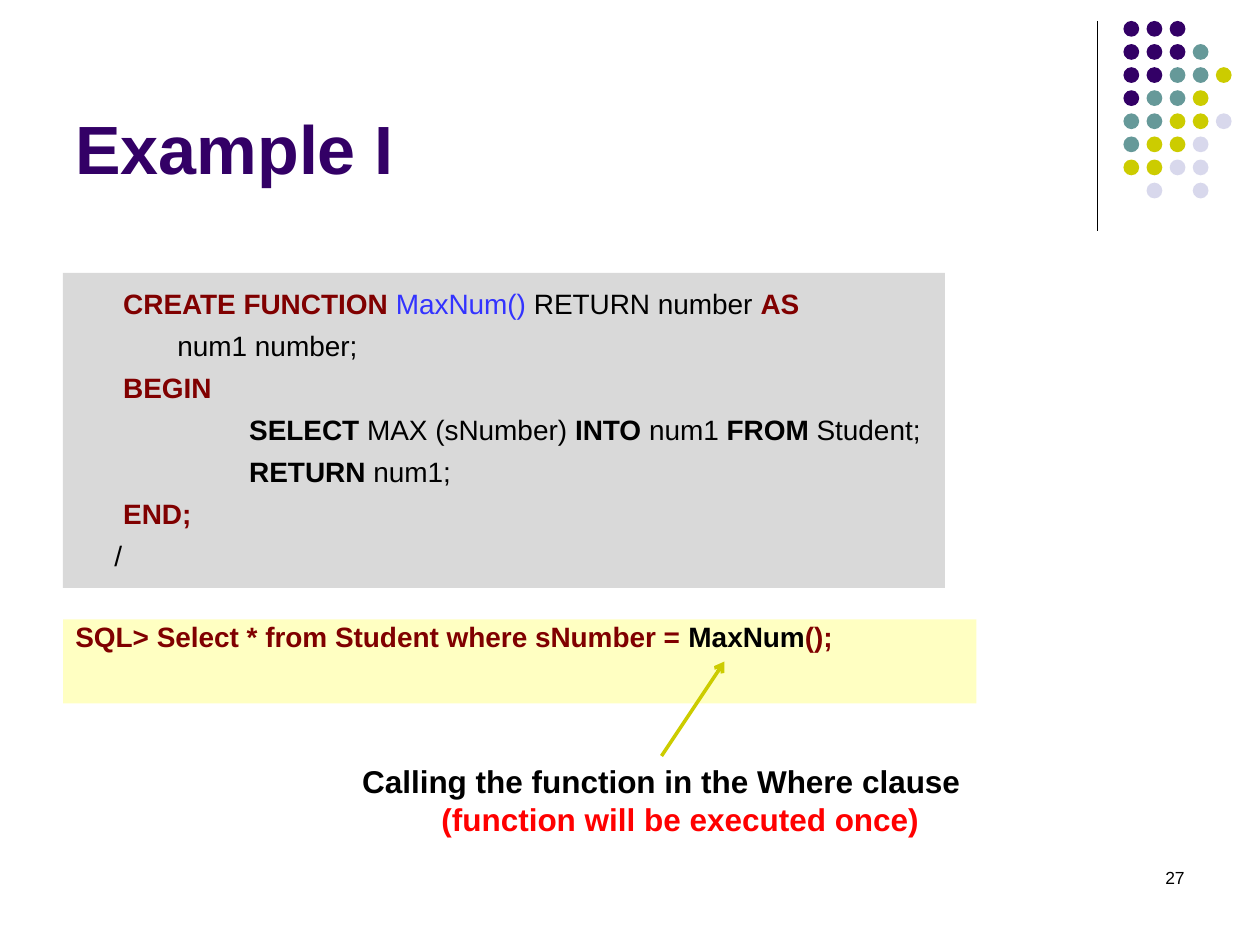
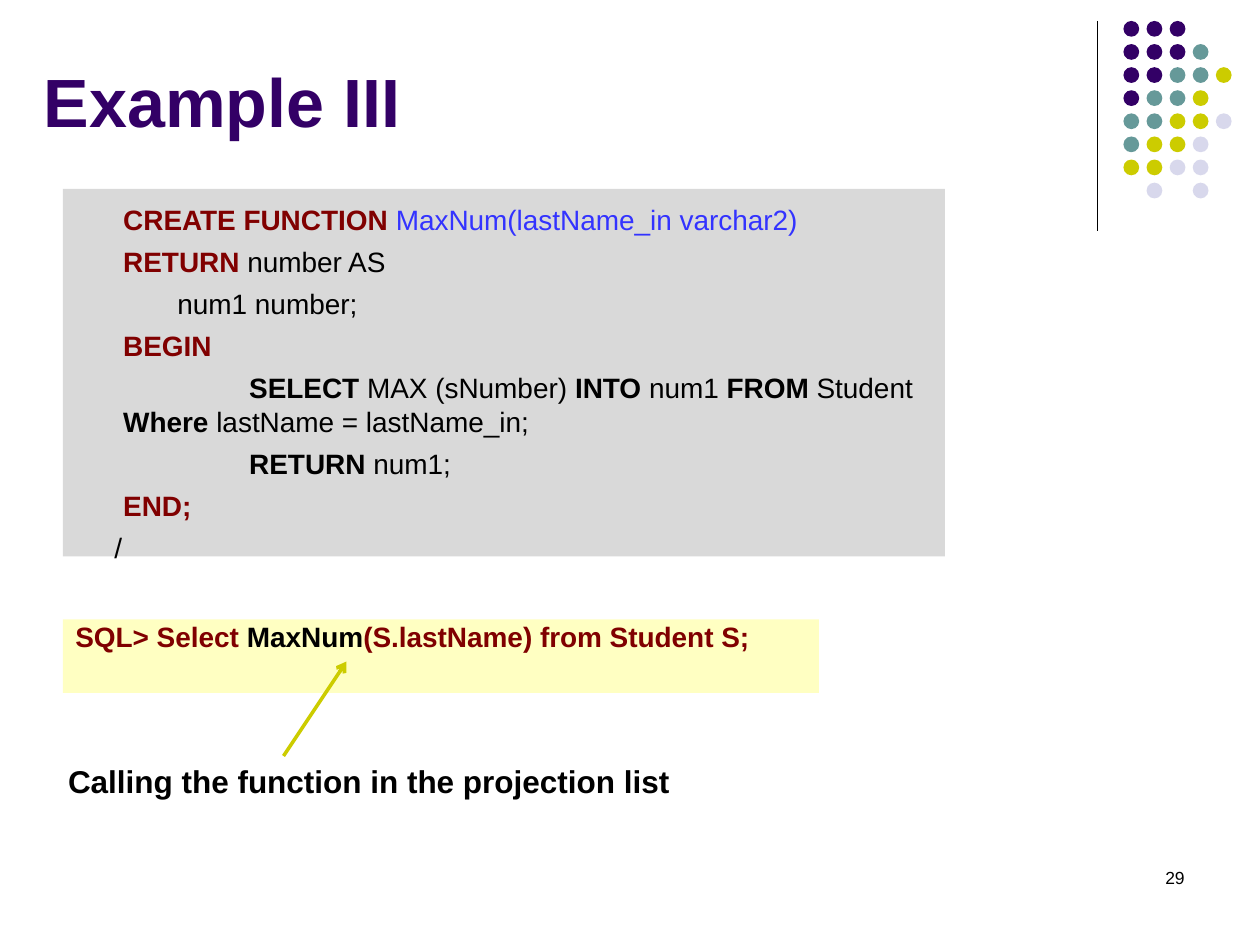
from lxml.etree import SubElement
from pptx import Presentation
from pptx.dml.color import RGBColor
from pptx.enum.shapes import MSO_CONNECTOR, MSO_SHAPE
from pptx.enum.text import MSO_ANCHOR, PP_ALIGN
from pptx.oxml.ns import qn
from pptx.util import Inches, Pt

COLORS = {
    "purple": "330066", "teal": "669999", "olive": "CCCC00", "lilac": "D8D8EC",
    "black": "000000", "maroon": "800000", "blue": "3333FF", "red": "FF0000",
    "code": "D9D9D9", "query": "FFFFC2",
}
# Each style is (size, bold, colour)
STYLES = {
    "title": (39, True, "purple"),
    "plain": (16, False, "black"),
    "strong": (16, True, "black"),
    "keyword": (16, True, "maroon"),
    "name": (16, False, "blue"),
    "note": (18, True, "black"),
    "warning": (18, True, "red"),
    "number": (10, False, "black"),
}
DOT_COLORS = {"P": "purple", "T": "teal", "O": "olive", "L": "lilac"}
DOT_ROWS = ["PPP", "PPPT", "PPTTO", "PTTO", "TTOOL", "TOOL", "OOLL", ".L.L"]
DOT_PITCH, DOT_SIZE = 2.2, 1.5

# Code indents in inches, measured from the code margin
CODE_MARGIN = 0.38
SLASH, FLUSH, DECLARE, BODY = -0.07, 0, 0.43, 1
BEGIN = (BODY * 0, [("BEGIN", "keyword")])
SELECT_MAX = [("SELECT", "strong"), (" MAX (sNumber) ", "plain"), ("INTO", "strong"),
              (" num1 ", "plain"), ("FROM", "strong")]
DECLARATION = (DECLARE, [("num1 number;", "plain")])
CODE_END = [
    (BODY, [("RETURN", "strong"), (" num1;", "plain")]),
    (FLUSH, [("END;", "keyword")]),
    (SLASH, [("/", "plain")]),
]


def grid(*cells):
    """Turn cells of the 120 x 90 slide grid into lengths."""
    return [Inches(c / 12) for c in cells]


def rgb(name):
    return RGBColor.from_string(COLORS[name])


def add_filled(shapes, kind, box, color):
    sp = shapes.add_shape(kind, *grid(*box))
    sp.shadow.inherit = False
    sp.fill.solid()
    sp.fill.fore_color.rgb = rgb(color)
    sp.line.fill.background()
    return sp


def add_line(s, start, end, color, width, arrow=False):
    line = s.shapes.add_connector(MSO_CONNECTOR.STRAIGHT, *grid(*start, *end))
    line.line.color.rgb = rgb(color)
    line.line.width = Pt(width)
    if arrow:
        SubElement(line.line._get_or_add_ln(), qn("a:tailEnd"), type="arrow")
    SubElement(line._element.spPr, qn("a:effectLst"))


def write(tf, paragraphs, margin=0, **formats):
    """Fill a frame with (first-line indent, runs) paragraphs."""
    for i, (indent, runs) in enumerate(paragraphs):
        p = tf.paragraphs[0] if i == 0 else tf.add_paragraph()
        pPr = p._p.get_or_add_pPr()
        pPr.set("marL", str(Inches(margin)))
        pPr.set("indent", str(Inches(indent)))
        for key, value in {"alignment": PP_ALIGN.LEFT, **formats}.items():
            if i or key != "space_before":
                setattr(p, key, value)
        for text, style in runs:
            size, bold, color = STYLES[style]
            r = p.add_run()
            r.text = text
            for key, value in {"name": "Arial", "size": Pt(size), "bold": bold}.items():
                setattr(r.font, key, value)
            r.font.color.rgb = rgb(color)


def add_text(s, box, paragraphs, anchor=MSO_ANCHOR.TOP, wrap=True, **formats):
    tf = s.shapes.add_textbox(*grid(*box)).text_frame
    tf.word_wrap = wrap
    tf.vertical_anchor = anchor
    write(tf, paragraphs, **formats)


def add_panel(s, box, color, paragraphs, top_inset=0.05, **formats):
    tf = add_filled(s.shapes, MSO_SHAPE.RECTANGLE, box, color).text_frame
    tf.word_wrap = True
    tf.vertical_anchor = MSO_ANCHOR.TOP
    tf.margin_top = Inches(top_inset)
    write(tf, paragraphs, **formats)


def add_code(s, box, lines):
    add_panel(s, box, "code", lines, top_inset=0.11, margin=CODE_MARGIN,
              space_before=Pt(4.8))


def add_query(s, width, height, runs):
    add_panel(s, (6, 59, width, height), "query", [(0, runs)], line_spacing=0.8)


def add_call_arrow(s, column):
    add_line(s, (column, 72), (column + 6, 63), "olive", 2, arrow=True)


def add_dots(s):
    group = s.shapes.add_group_shape()
    for row, pattern in enumerate(DOT_ROWS):
        for col, key in enumerate(pattern):
            if key in DOT_COLORS:
                box = (107 + col * DOT_PITCH, 2 + row * DOT_PITCH, DOT_SIZE, DOT_SIZE)
                add_filled(group.shapes, MSO_SHAPE.OVAL, box, DOT_COLORS[key])


def add_example(prs, title, title_box, number):
    """Add a slide with the shared rule, dots, title and slide number."""
    s = prs.slides.add_slide(prs.slide_layouts[6])
    add_line(s, (104.5, 2), (104.5, 22), "black", 0.75)
    add_dots(s)
    add_text(s, title_box, [(0, [(title, "title")])], anchor=MSO_ANCHOR.BOTTOM)
    add_text(s, (86, 82, 28, 6), [(0, [(number, "number")])], alignment=PP_ALIGN.RIGHT)
    return s


def add_where_example(prs):
    s = add_example(prs, "Example I", (6, 1.5, 99, 17), "27")
    add_code(s, (6, 26, 84, 30), [
        (FLUSH, [("CREATE FUNCTION ", "keyword"), ("MaxNum() ", "name"),
                 ("RETURN number ", "plain"), ("AS", "keyword")]),
        DECLARATION,
        BEGIN,
        (BODY, SELECT_MAX + [(" Student;", "plain")]),
        *CODE_END,
    ])
    add_query(s, 87, 8, [("SQL> Select * from Student where sNumber = ", "keyword"),
                         ("MaxNum", "strong"), ("();", "keyword")])
    add_call_arrow(s, 63)
    add_text(s, (33.3, 72, 59.4, 8.4), [
        (0, [("Calling the function in the Where clause", "note")]),
        (0.63, [("(function will be executed once)", "warning")]),
    ], wrap=False)


def add_projection_example(prs):
    s = add_example(prs, "Example III", (3, 2, 99, 12), "29")
    add_code(s, (6, 18, 84, 35), [
        (FLUSH, [("CREATE FUNCTION ", "keyword"),
                 ("MaxNum(lastName_in varchar2)", "name")]),
        (FLUSH, [("RETURN", "keyword"), (" number AS", "plain")]),
        DECLARATION,
        BEGIN,
        (BODY, SELECT_MAX + [(" Student ", "plain"), ("Where", "strong"),
                             (" lastName = lastName_in;", "plain")]),
        *CODE_END,
    ])
    add_query(s, 72, 7, [("SQL> Select ", "keyword"), ("MaxNum", "strong"),
                         ("(S.lastName) from Student S;", "keyword")])
    add_call_arrow(s, 27)
    add_text(s, (5.3, 72, 59.8, 4.8),
             [(0, [("Calling the function in the projection list", "note")])], wrap=False)


def main():
    prs = Presentation()
    prs.slide_width, prs.slide_height = grid(120, 90)
    add_where_example(prs)
    add_projection_example(prs)
    prs.save("out.pptx")


if __name__ == "__main__":
    main()
